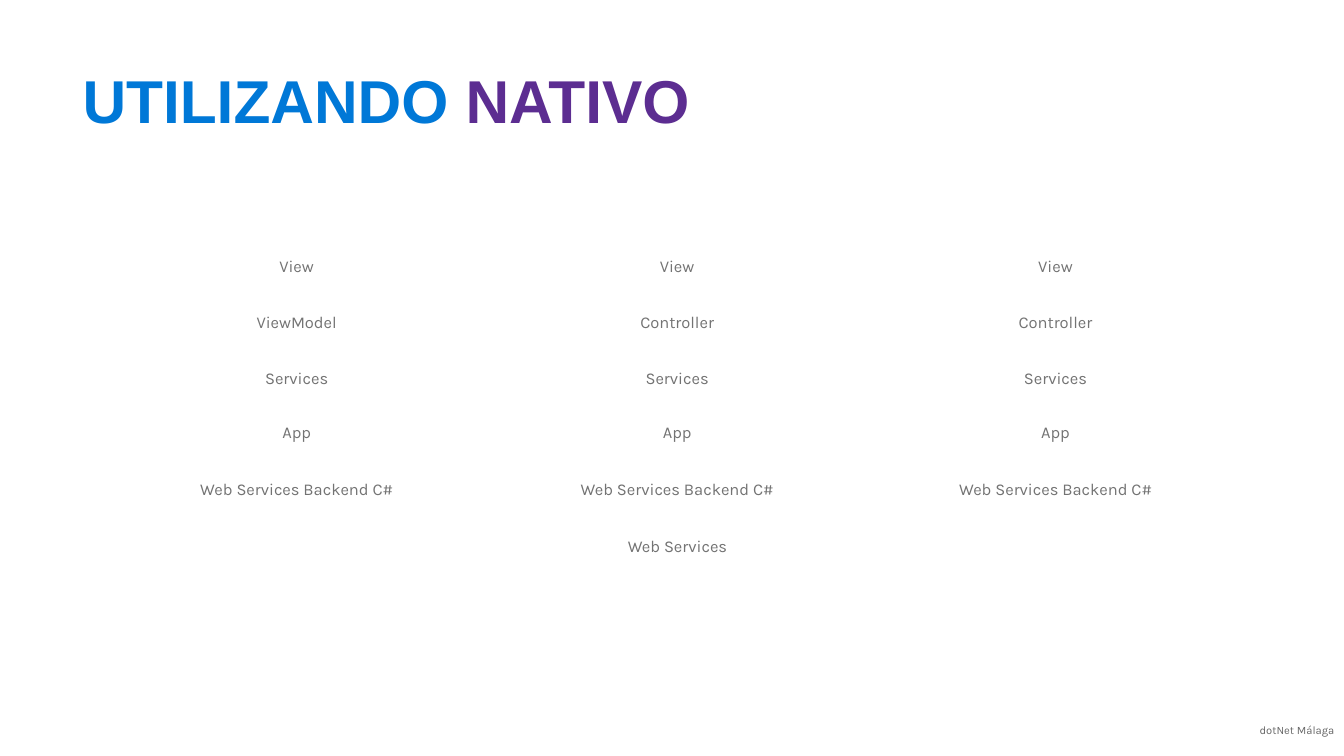
from dataclasses import dataclass
from typing import NamedTuple

from pptx import Presentation
from pptx import util as u
from pptx.dml.color import RGBColor
from pptx.enum import shapes, text


@dataclass(frozen=True)
class Theme:
    blue: str = "0078D7"
    violet: str = "5C2D91"
    gray: str = "737373"
    pale: str = "666666"
    white: str = "FFFFFF"
    head: str = "Arial"
    body: str = "Karla"
    big: float = 43.2
    mid: float = 11.8
    small: float = 8


class Box(NamedTuple):
    left: float
    top: float
    width: float
    height: float


class Run(NamedTuple):
    words: str
    font: str
    size: float
    color: str
    bold: bool = False


class Row(NamedTuple):
    top: float
    labels: tuple[str, ...]


LOOK = Theme()
TALL = 31.7

# Column left edges and widths
COLS = ((79.9, 264), (352.7, 262), (622.3, 263.3))

# One layer of the app per row, one label per column
ROWS = (
    Row(174.2, ("View",) * 3),
    Row(214.3, ("ViewModel", "Controller", "Controller")),
    Row(254.2, ("Services",) * 3),
    Row(292.3, ("App",) * 3),
    Row(333.6, ("Web Services Backend C#",) * 3),
)
BASE = Box(81.4, 374.4, 805, TALL)


def place(box: Box) -> list[u.Length]:
    return [u.Pt(side) for side in box]


def write(frame, runs: list[Run], align, form: dict) -> None:
    """Fill a text frame with one paragraph of runs."""
    frame.word_wrap = True
    for name, value in form.items():
        setattr(frame, name, value)
    para = frame.paragraphs[0]
    para.alignment = align
    for item in runs:
        run = para.add_run()
        run.text = item.words
        style = {"name": item.font, "size": u.Pt(item.size), "bold": item.bold}
        for name, value in style.items():
            setattr(run.font, name, value)
        run.font.color.rgb = RGBColor.from_string(item.color)


def label(slide, box: Box, runs: list[Run], align, form: dict):
    """Add a plain text box."""
    shape = slide.shapes.add_textbox(*place(box))
    write(shape.text_frame, runs, align, form)
    return shape


def layer(slide, box: Box, words: str) -> None:
    """Add a white bar with centred text."""
    bar = slide.shapes.add_shape(shapes.MSO_SHAPE.RECTANGLE, *place(box))
    bar.shadow.inherit = False
    white = RGBColor.from_string(LOOK.white)
    for fill in (bar.fill, bar.line.fill):
        fill.solid()
        fill.fore_color.rgb = white
    bar.line.width = u.Pt(1)
    write(bar.text_frame, [Run(words, LOOK.body, LOOK.mid, LOOK.gray)],
          text.PP_ALIGN.CENTER,
          {"vertical_anchor": text.MSO_ANCHOR.MIDDLE})


def main() -> None:
    deck = Presentation()
    deck.slide_width, deck.slide_height = u.Pt(960), u.Pt(540)
    slide = deck.slides.add_slide(deck.slide_layouts[6])

    # Footer
    label(slide, Box(829.4, 513.4, 131, 23.8),
          [Run("dotNet Málaga", LOOK.body, LOOK.small, LOOK.pale)],
          text.PP_ALIGN.RIGHT, {})

    # Title
    pads = {"margin_left": u.Pt(10.8), "margin_right": u.Pt(10.8),
            "margin_top": u.Pt(8.64), "margin_bottom": u.Pt(8.64)}
    title = label(slide, Box(48.2, 42.5, 864, 41),
                  [Run("UTILIZANDO ", LOOK.head, LOOK.big, LOOK.blue, True),
                   Run("NATIVO", LOOK.head, LOOK.big, LOOK.violet, True)],
                  text.PP_ALIGN.LEFT, pads)
    title.text_frame.paragraphs[0].line_spacing = 0.9

    # Shared base, then the three stacks
    layer(slide, BASE, "Web Services")
    for row in ROWS:
        for (left, width), words in zip(COLS, row.labels):
            layer(slide, Box(left, row.top, width, TALL), words)

    deck.save("out.pptx")


if __name__ == "__main__":
    main()
